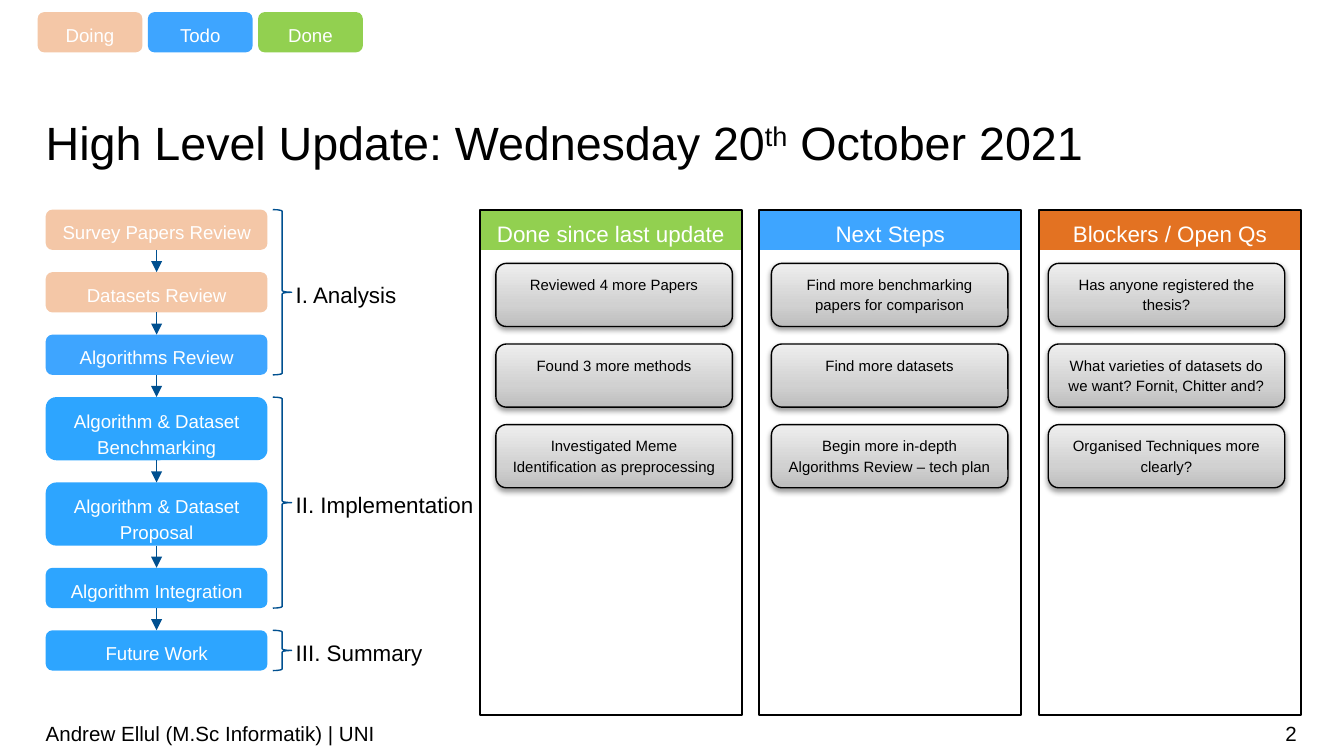
from dataclasses import dataclass

from pptx import Presentation
from pptx.dml.color import RGBColor
from pptx.enum.shapes import MSO_CONNECTOR, MSO_SHAPE
from pptx.enum.text import MSO_ANCHOR, MSO_AUTO_SIZE, PP_ALIGN
from pptx.oxml import parse_xml
from pptx.oxml.ns import nsdecls, qn
from pptx.util import Inches, Pt

ROUNDED, RECTANGLE, BRACE = (
    MSO_SHAPE.ROUNDED_RECTANGLE, MSO_SHAPE.RECTANGLE, MSO_SHAPE.RIGHT_BRACE)
STRAIGHT = MSO_CONNECTOR.STRAIGHT
LEFT, CENTER, RIGHT = PP_ALIGN.LEFT, PP_ALIGN.CENTER, PP_ALIGN.RIGHT
TOP, MIDDLE = MSO_ANCHOR.TOP, MSO_ANCHOR.MIDDLE
GROW = MSO_AUTO_SIZE.SHAPE_TO_FIT_TEXT
BOTTOM_SIDE, TOP_SIDE = 2, 0


@dataclass(frozen=True)
class Theme:
    font: str = "Arial"
    ink: str = "000000"
    paper: str = "FFFFFF"
    doing: str = "F4C7A7"
    todo: str = "3EA5FF"
    planned: str = "2DA5FF"
    done: str = "92D050"
    blocked: str = "E37222"
    link: str = "005090"
    card_stops: tuple = ((0, "BDBDBD"), (35, "D1D1D1"), (100, "EEEEEE"))
    title_size: int = 25
    heading_size: int = 12
    footer_size: int = 11
    step_size: int = 10
    card_size: int = 8
    spacing: float = 1.14


THEME = Theme()
STEPS = [
    ("Survey Papers Review", 0.3, THEME.doing),
    ("Datasets Review", 0.3, THEME.doing),
    ("Algorithms Review", 0.3, THEME.todo),
    ("Algorithm & Dataset Benchmarking", 0.47, THEME.planned),
    ("Algorithm & Dataset Proposal", 0.47, THEME.planned),
    ("Algorithm Integration", 0.3, THEME.planned),
    ("Future Work", 0.3, THEME.planned),
]
PHASES = [("I. Analysis", 0, 2), ("II. Implementation", 3, 5), ("III. Summary", 6, 6)]
LEGEND = [("Doing", THEME.doing), ("Todo", THEME.todo), ("Done", THEME.done)]
COLUMNS = [
    ("Done since last update", THEME.done, 0.12,
     ["Reviewed 4 more Papers", "Found 3 more methods",
      "Investigated Meme Identification as preprocessing"]),
    ("Next Steps", THEME.todo, 0.09,
     ["Find more benchmarking papers for comparison", "Find more datasets",
      "Begin more in-depth Algorithms Review – tech plan"]),
    ("Blockers / Open Qs", THEME.blocked, 0.07,
     ["Has anyone registered the thesis?",
      "What varieties of datasets do we want? Fornit, Chitter and?",
      "Organised Techniques more clearly?"]),
]


def rgb(color):
    return RGBColor.from_string(color)


def write(para, text, size, color):
    span = para.add_run()
    span.text = text
    span.font.name = THEME.font
    span.font.size = Pt(size)
    span.font.color.rgb = rgb(color)
    return span


def add_box(shapes, kind, left, top, width, height, fill=None, line=None, weight=0.75):
    box = shapes.add_shape(kind, Inches(left), Inches(top), Inches(width), Inches(height))
    box.shadow.inherit = False
    if fill:
        box.fill.solid()
        box.fill.fore_color.rgb = rgb(fill)
    else:
        box.fill.background()
    if line:
        box.line.color.rgb = rgb(line)
        box.line.width = Pt(weight)
    else:
        box.line.fill.background()
    return box


def fill_text(box, text, size, color):
    box.text_frame.word_wrap = True
    box.text_frame.vertical_anchor = TOP
    para = box.text_frame.paragraphs[0]
    para.alignment = CENTER
    para.line_spacing = THEME.spacing
    write(para, text, size, color)


def add_label(page, text, left, top, width, height, size,
              align=LEFT, anchor=TOP, inset=0, spacing=None):
    box = page.shapes.add_textbox(Inches(left), Inches(top), Inches(width), Inches(height))
    frame = box.text_frame
    frame.word_wrap = True
    frame.vertical_anchor = anchor
    frame.margin_left = frame.margin_right = 0
    frame.margin_top = frame.margin_bottom = Inches(inset)
    para = frame.paragraphs[0]
    para.alignment = align
    para.line_spacing = spacing
    write(para, text, size, THEME.ink)


def add_title(page, left, top, width, height):
    title = page.shapes.title
    title.left, title.top = Inches(left), Inches(top)
    title.width, title.height = Inches(width), Inches(height)
    frame = title.text_frame
    frame.margin_left = frame.margin_right = frame.margin_top = frame.margin_bottom = 0
    frame.vertical_anchor = TOP
    frame.auto_size = GROW
    para = frame.paragraphs[0]
    para.alignment = LEFT
    para.line_spacing = Pt(32)
    write(para, "High Level Update: Wednesday 20", THEME.title_size, THEME.ink)
    ordinal = write(para, "th", THEME.title_size, THEME.ink)
    ordinal.font._element.set("baseline", "30000")
    write(para, " October 2021", THEME.title_size, THEME.ink)


def add_legend(page, left, top, width, height, pitch):
    for index, (text, color) in enumerate(LEGEND):
        box = add_box(page.shapes, ROUNDED, left + index * pitch, top, width, height, color)
        fill_text(box, text, THEME.step_size, THEME.paper)


def add_arrow(page, upper, lower):
    arrow = page.shapes.add_connector(STRAIGHT, 0, 0, 0, 0)
    arrow.begin_connect(upper, BOTTOM_SIDE)
    arrow.end_connect(lower, TOP_SIDE)
    arrow.line.color.rgb = rgb(THEME.link)
    arrow.line.width = Pt(0.75)
    arrow.line._get_or_add_ln().append(
        parse_xml(f'<a:tailEnd {nsdecls("a")} type="triangle"/>'))
    arrow._element.spPr.append(parse_xml(f'<a:effectLst {nsdecls("a")}/>'))


def add_roadmap(page, left, top, width, height):
    gap = (height - sum(step[1] for step in STEPS)) / (len(STEPS) - 1)
    boxes, edges = [], []
    for text, step_height, color in STEPS:
        box = add_box(page.shapes, ROUNDED, left, top, width, step_height, color)
        fill_text(box, text, THEME.step_size, THEME.paper)
        boxes.append(box)
        edges.append((top, top + step_height))
        top += step_height + gap
    for upper, lower in zip(boxes, boxes[1:]):
        add_arrow(page, upper, lower)
    for text, first, last in PHASES:
        start, end = edges[first][0], edges[last][1]
        add_box(page.shapes, BRACE, left + width + 0.04, start, 0.14, end - start,
                line=THEME.link)
        add_label(page, text, left + width + 0.21, (start + end) / 2 - 0.11, 1.35, 0.21,
                  THEME.heading_size, spacing=THEME.spacing)


def add_card(page, text, left, top, width, height):
    card = add_box(page.shapes, ROUNDED, left, top, width, height, line=THEME.ink)
    properties = card._element.spPr
    stops = "".join(f'<a:gs pos="{place * 1000}"><a:srgbClr val="{color}"/></a:gs>'
                    for place, color in THEME.card_stops)
    properties.replace(properties.find(qn("a:noFill")), parse_xml(
        f'<a:gradFill {nsdecls("a")} rotWithShape="1"><a:gsLst>{stops}</a:gsLst>'
        '<a:lin ang="16200000" scaled="0"/></a:gradFill>'))
    properties.find(qn("a:effectLst")).append(parse_xml(
        f'<a:outerShdw {nsdecls("a")} blurRad="{Pt(3.1)}" dist="{Pt(1.6)}" dir="5400000" '
        f'rotWithShape="0"><a:srgbClr val="{THEME.ink}"><a:alpha val="38000"/>'
        '</a:srgbClr></a:outerShdw>'))
    fill_text(card, text, THEME.card_size, THEME.ink)


def add_column(page, heading, color, card_indent, cards, left, top, width, height):
    group = page.shapes.add_group_shape()
    header = add_box(group.shapes, RECTANGLE, left, top, width, 0.3, color)
    fill_text(header, heading, THEME.heading_size, THEME.paper)
    add_box(group.shapes, RECTANGLE, left, top, width, height, line=THEME.ink, weight=1)
    for index, text in enumerate(cards):
        add_card(page, text, left + card_indent, top + 0.4 + index * 0.6, 1.76, 0.47)


def add_footer(page, left, top, width, height):
    split = 7.07
    add_label(page, "Andrew Ellul (M.Sc Informatik) | UNI", left, top, split, height,
              THEME.footer_size, anchor=MIDDLE, inset=0.05)
    add_label(page, "2", left + split, top, width - split, height,
              THEME.footer_size, align=RIGHT, anchor=MIDDLE, inset=0.05)


def main():
    deck = Presentation()
    deck.slide_width, deck.slide_height = Inches(10), Inches(10) * 9 // 16
    page = deck.slides.add_slide(deck.slide_layouts[5])
    add_title(page, 0.34, 0.82, 9.31, 0.42)
    add_footer(page, 0.34, 5.31, 9.31, 0.3)
    add_legend(page, 0.28, 0.09, 0.78, 0.3, 0.82)
    add_roadmap(page, 0.34, 1.56, 1.65, 3.43)
    for index, column in enumerate(COLUMNS):
        add_column(page, *column, 3.57 + index * 2.08, 1.56, 1.95, 3.76)
    deck.save("out.pptx")


if __name__ == "__main__":
    main()
